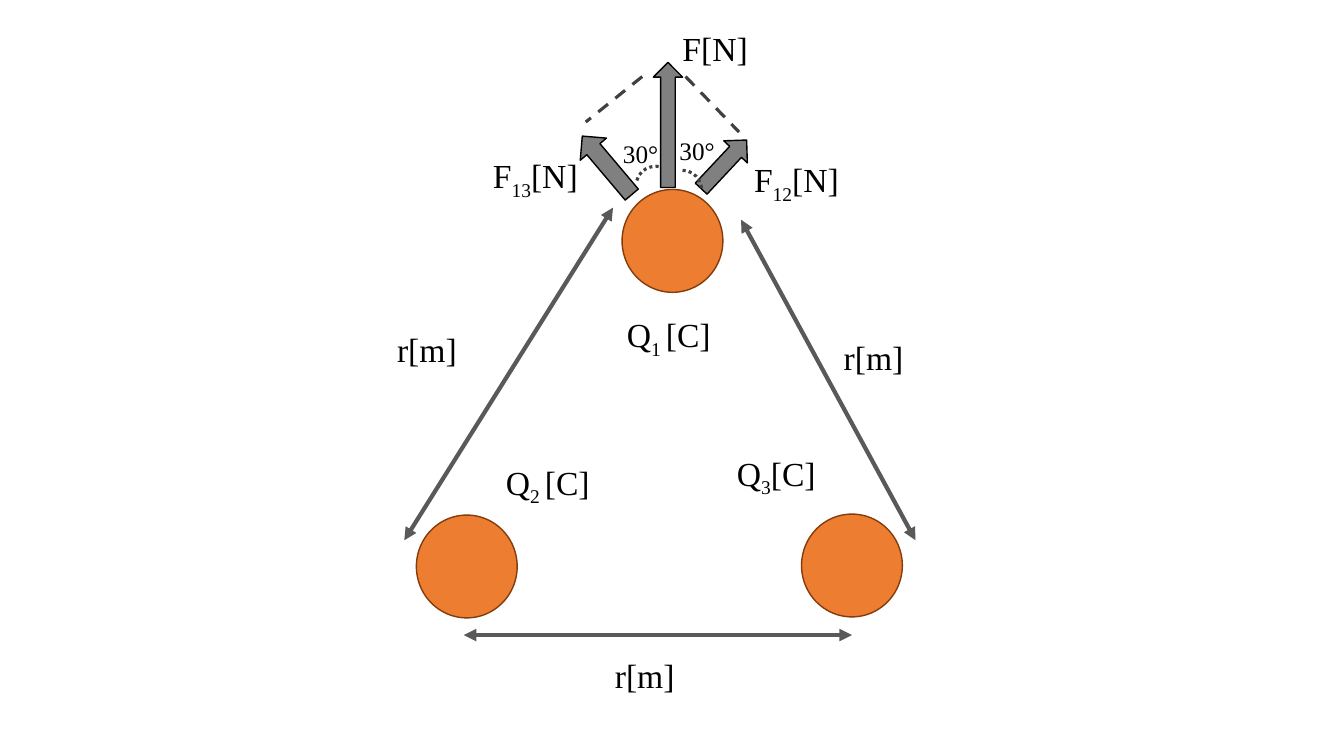
"""Draw the forces between three charges at the corners of a triangle."""
from lxml.etree import SubElement
from pptx import Presentation
from pptx.dml.color import RGBColor
from pptx.enum.dml import MSO_LINE as Dash
from pptx.enum.shapes import MSO_CONNECTOR as Connector, MSO_SHAPE as Shape
from pptx.enum.text import MSO_AUTO_SIZE as AutoSize
from pptx.oxml.ns import qn
from pptx.util import Inches, Pt


def paint(format_part, color):
    if hasattr(format_part, "solid"):
        format_part.solid()
        format_part.fore_color.rgb = RGBColor.from_string(color)
    else:
        format_part.rgb = RGBColor.from_string(color)


def add_outlined(kind, bounds, line_color, width, rotation=0):
    shape = page.shapes.add_shape(kind, *map(Inches, bounds))
    shape.shadow.inherit = False
    shape.rotation = rotation
    paint(shape.line.fill, line_color)
    shape.line.width = Pt(width)
    return shape


deck = Presentation()
deck.slide_width, deck.slide_height = Inches(13.33), Inches(7.5)
page = deck.slides.add_slide(deck.slide_layouts[6])

for left, top in [(6.17, 1.88), (4.13, 5.11), (7.95, 5.1)]:
    charge = add_outlined(Shape.OVAL, (left, top, 1, 1.02), "843C0B", 1)
    paint(charge.fill, "ED7D31")

force_arrows = [
    ((7.02, 1.3, 0.32, 0.66), 223.1),
    ((5.85, 1.26, 0.34, 0.76), 139.8),
    ((6.48, 0.62, 0.29, 1.24), 180),
]
for bounds, rotation in force_arrows:
    arrow = add_outlined(Shape.DOWN_ARROW, bounds, "000000", 1, rotation)
    paint(arrow.fill, "808080")

distance = {"color": "595959", "width": 3, "dash": None, "heads": ("headEnd", "tailEnd")}
guide = {"color": "404040", "width": 2.25, "dash": Dash.DASH, "heads": ()}
lines = [
    ((7.35, 2.18, 9.08, 5.36), distance),
    ((4.6, 6.3, 8.45, 6.3), distance),
    ((6.08, 2.06, 4.01, 5.36), distance),
    ((6.37, 0.76, 5.81, 1.21), guide),
    ((6.8, 0.76, 7.33, 1.31), guide),
]
for ends, style in lines:
    connector = page.shapes.add_connector(Connector.STRAIGHT, *map(Inches, ends))
    paint(connector.line.fill, style["color"])
    connector.line.width = Pt(style["width"])
    if style["dash"]:
        connector.line.dash_style = style["dash"]
    outline = connector.line._get_or_add_ln()
    for head in style["heads"]:
        SubElement(outline, qn(f"a:{head}"), type="triangle")
    SubElement(connector._element.spPr, qn("a:effectLst"))

for left, top, rotation in [(6.58, 1.69, 0), (6.32, 1.64, 284.5)]:
    arc = add_outlined(Shape.ARC, (left, top, 0.38, 0.4), "404040", 2.25, rotation)
    arc.fill.background()
    arc.line.dash_style = Dash.ROUND_DOT

labels = [
    ((8.27, 3.29, 0.8, 0.5), [("r[m]", 24, False)]),
    ((6, 6.45, 0.8, 0.5), [("r[m]", 24, False)]),
    ((3.84, 3.21, 0.8, 0.5), [("r[m]", 24, False)]),
    ((6.12, 3.07, 1.06, 0.5), [("Q", 24, False), ("1", 24, True), (" ", 14, False), ("[C]", 24, False)]),
    ((4.92, 4.53, 1.06, 0.5), [("Q", 24, False), ("2", 24, True), (" ", 14, False), ("[C]", 24, False)]),
    ((7.21, 4.44, 1.01, 0.5), [("Q", 24, False), ("3", 24, True), ("[C]", 24, False)]),
    ((7.38, 1.53, 1.08, 0.5), [("F", 24, False), ("12", 24, True), ("[N]", 24, False)]),
    ((4.79, 1.49, 1.08, 0.5), [("F", 24, False), ("13", 24, True), ("[N]", 24, False)]),
    ((6.67, 0.23, 0.86, 0.5), [("F[N]", 24, False)]),
    ((6.08, 1.32, 0.71, 0.4), [("30°", 18, False)]),
    ((6.64, 1.29, 0.71, 0.4), [("30°", 18, False)]),
]
for bounds, parts in labels:
    box = page.shapes.add_textbox(*map(Inches, bounds))
    frame_format = {"word_wrap": False, "auto_size": AutoSize.SHAPE_TO_FIT_TEXT}
    for name, value in frame_format.items():
        setattr(box.text_frame, name, value)
    para = box.text_frame.paragraphs[0]
    for text, size, subscript in parts:
        span = para.add_run()
        span.text = text
        for name, value in {"name": "Times New Roman", "size": Pt(size)}.items():
            setattr(span.font, name, value)
        paint(span.font.color, "000000")
        if subscript:
            span._r.get_or_add_rPr().set("baseline", "-25000")

deck.save("out.pptx")
